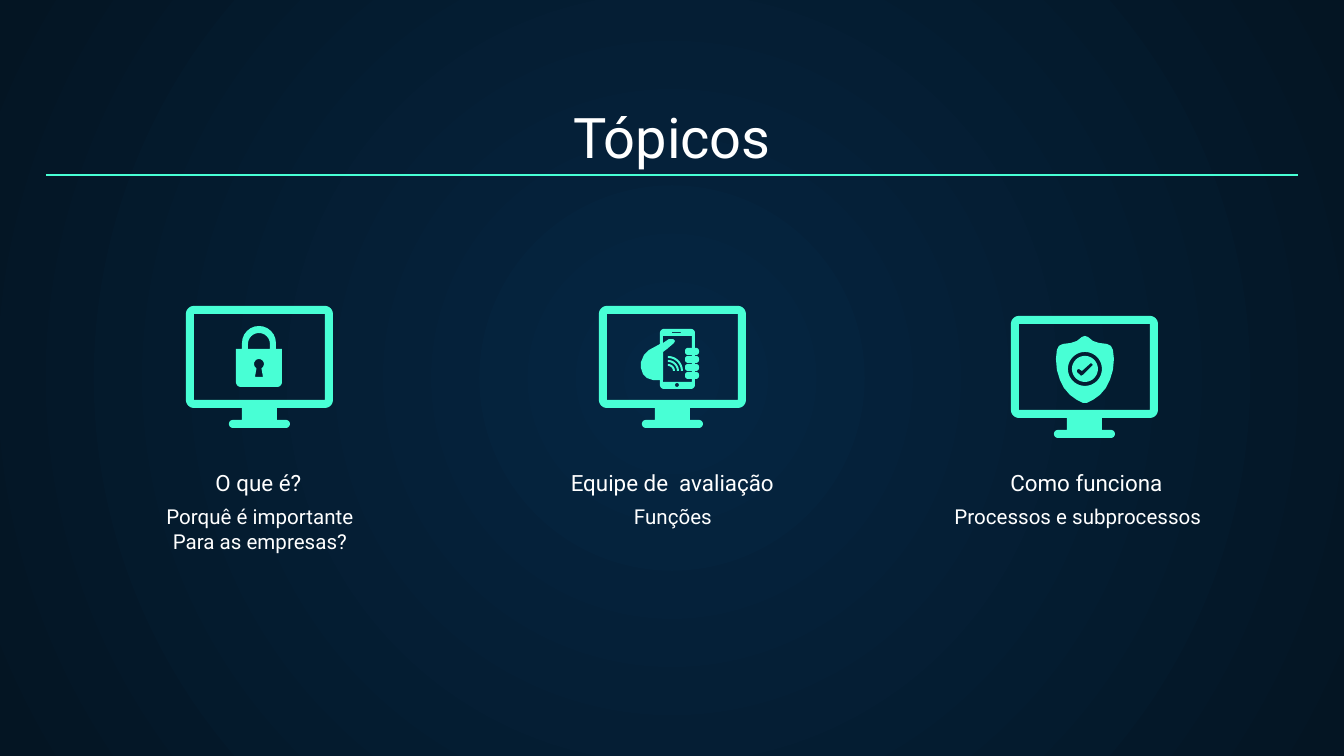
from math import cos, radians, sin

from pptx import Presentation
from pptx.dml.color import RGBColor
from pptx.enum.shapes import MSO_CONNECTOR
from pptx.enum.text import MSO_ANCHOR, MSO_AUTO_SIZE, PP_ALIGN
from pptx.oxml import parse_xml
from pptx.oxml.ns import nsdecls, qn
from pptx.util import Emu, Pt

CENTER = PP_ALIGN.CENTER
TOP = MSO_ANCHOR.TOP
BOTTOM = MSO_ANCHOR.BOTTOM
NO_FIT = MSO_AUTO_SIZE.NONE
STRAIGHT = MSO_CONNECTOR.STRAIGHT

EMU_PER_PX = 914400 / 134.4
COLORS = {"glow": "052643", "night": "041523", "mint": "48FFD5", "white": "FFFFFF"}


def px(length):
    return Emu(round(length * EMU_PER_PX))


def color(name):
    return RGBColor.from_string(COLORS[name])


def arc(x, y, radius, start, end, steps=12):
    angles = [radians(start + (end - start) * i / steps) for i in range(steps + 1)]
    return [(x + radius * cos(a), y + radius * sin(a)) for a in angles]


def circle(x, y, radius):
    return arc(x, y, radius, 0, 360, 40)


def box(left, top, right, bottom):
    return [(left, top), (right, top), (right, bottom), (left, bottom)]


def round_box(left, top, right, bottom, radius):
    return (arc(left + radius, top + radius, radius, 180, 270)
            + arc(right - radius, top + radius, radius, 270, 360)
            + arc(right - radius, bottom - radius, radius, 0, 90)
            + arc(left + radius, bottom - radius, radius, 90, 180))


def write_text(shape, text, size=11, font="Roboto", fill="white", anchor=TOP):
    frame = shape.text_frame
    frame.word_wrap = True
    frame.auto_size = NO_FIT
    frame.vertical_anchor = anchor
    frame.margin_left = frame.margin_right = Pt(7.2)
    frame.margin_top = frame.margin_bottom = Pt(7.2)
    frame.text = text
    for paragraph in frame.paragraphs:
        paragraph.alignment = CENTER
        paragraph.font.size = Pt(size)
        paragraph.font.name = font
        paragraph.font.color.rgb = color(fill)


class Deck:
    def __init__(self, width, height):
        self.presentation = Presentation()
        self.presentation.slide_width = px(width)
        self.presentation.slide_height = px(height)
        self.slide = self.presentation.slides.add_slide(self.presentation.slide_layouts[5])

    def background(self, inner, outer):
        fill = self.slide.background.fill
        fill.gradient()
        for stop, name in zip(fill.gradient_stops, (inner, outer)):
            stop.color.rgb = color(name)
        gradient = self.slide.element.find(".//" + qn("a:gradFill"))
        gradient.remove(gradient.find(qn("a:lin")))
        gradient.append(parse_xml(
            f'<a:path {nsdecls("a")} path="circle">'
            '<a:fillToRect l="50000" t="50000" r="50000" b="50000"/></a:path>'))

    def title(self, text, left, top, width, height, **style):
        heading = self.slide.shapes.title
        heading.left, heading.top = px(left), px(top)
        heading.width, heading.height = px(width), px(height)
        write_text(heading, text, **style)

    def text(self, text, left, top, width, height, **style):
        label = self.slide.shapes.add_textbox(px(left), px(top), px(width), px(height))
        write_text(label, text, **style)

    def rule(self, left, right, y, weight=0.75):
        rule = self.slide.shapes.add_connector(STRAIGHT, px(left), px(y), px(right), px(y))
        rule.line.color.rgb = color("mint")
        rule.line.width = Pt(weight)
        rule._element.spPr.append(parse_xml(f'<a:effectLst {nsdecls("a")}/>'))

    def outline(self, left, top, contours):
        placed = [[(px(left + x), px(top + y)) for x, y in contour] for contour in contours]
        builder = self.slide.shapes.build_freeform(*placed[0][0])
        for index, contour in enumerate(placed):
            if index:
                builder.move_to(*contour[0])
            builder.add_line_segments(contour[1:], close=True)
        outline = builder.convert_to_shape()
        outline.shadow.inherit = False
        outline.fill.solid()
        outline.fill.fore_color.rgb = color("mint")
        outline.line.fill.background()

    def icon(self, left, top, parts):
        for contours in parts:
            self.outline(left, top, contours)


MONITOR = [
    arc(8, 8, 8, 180, 270) + arc(139, 8, 8, 270, 360) + arc(139, 94, 8, 0, 90)
    + [(91, 102), (91, 114)] + arc(100, 118, 4, 270, 450) + arc(47, 118, 4, 90, 270)
    + [(56, 114), (56, 102)] + arc(8, 94, 8, 90, 180),
    box(8, 8, 139, 94),
]

PADLOCK = [
    arc(73, 37, 17, 180, 360) + [(90, 43), (96, 43)]
    + arc(91, 76, 5, 0, 90) + arc(55, 76, 5, 90, 180) + [(50, 43), (56, 43)],
    arc(73, 38, 11, 180, 360) + [(84, 43), (62, 43)],
    arc(73, 58, 5, 120, 420) + [(77, 71), (69, 71)],
]

PHONE = [round_box(61, 23, 96, 83, 4), box(64, 30, 93, 76),
         box(73, 26, 82, 27), circle(78, 79, 2)]
HAND = [[(61, 38), (50, 44), (45, 49), (42, 56), (42, 62), (44, 68), (48, 72),
         (54, 74), (64, 74), (64, 46), (68, 43), (75, 37), (76, 35), (74, 33),
         (70, 33), (64, 37)]]
FINGERS = [round_box(86, y, 100, y + 7, 3) for y in range(42, 67, 8)]
SIGNAL = [arc(69, 65, r, 270, 360) + arc(69, 65, r - 2, 360, 270) for r in (7, 11, 15)]

SHIELD_HALF = [(0, 20), (3, 21), (8, 25), (14, 27), (22, 28), (26, 30), (28, 34),
               (29, 43), (28, 54), (25, 64), (21, 72), (15, 79), (8, 84), (2, 87)]
SHIELD = [
    [(74 + x, y) for x, y in SHIELD_HALF] + [(74 - x, y) for x, y in SHIELD_HALF[:0:-1]],
    circle(74, 53, 17),
    circle(74, 53, 13),
    [(80, 47), (82, 49), (72, 59), (70, 60), (66, 56), (66, 54), (68, 53), (71, 55)],
]

TOPICS = [
    ("O que é?", "Porquê é importante\nPara as empresas?", 121, (186, 306), [PADLOCK]),
    ("Equipe de  avaliação", "Funções", 534, (599, 306), [PHONE, HAND, FINGERS, SIGNAL]),
    ("Como funciona", "Processos e subprocessos", 939, (1011, 316), [SHIELD]),
]


def main():
    deck = Deck(1344, 756)
    deck.background("glow", "night")
    deck.title("Tópicos", 46, 94, 1252, 89, size=30, anchor=BOTTOM)
    deck.rule(46, 1298, 175)
    for column, (heading, detail, detail_left, corner, symbol) in enumerate(TOPICS):
        deck.icon(*corner, [MONITOR, *symbol])
        deck.text(heading, 106 + 414 * column, 481, 305, 28, size=12, anchor=BOTTOM)
        deck.text(detail, detail_left, 491, 278, 74)
    deck.presentation.save("out.pptx")


if __name__ == "__main__":
    main()
